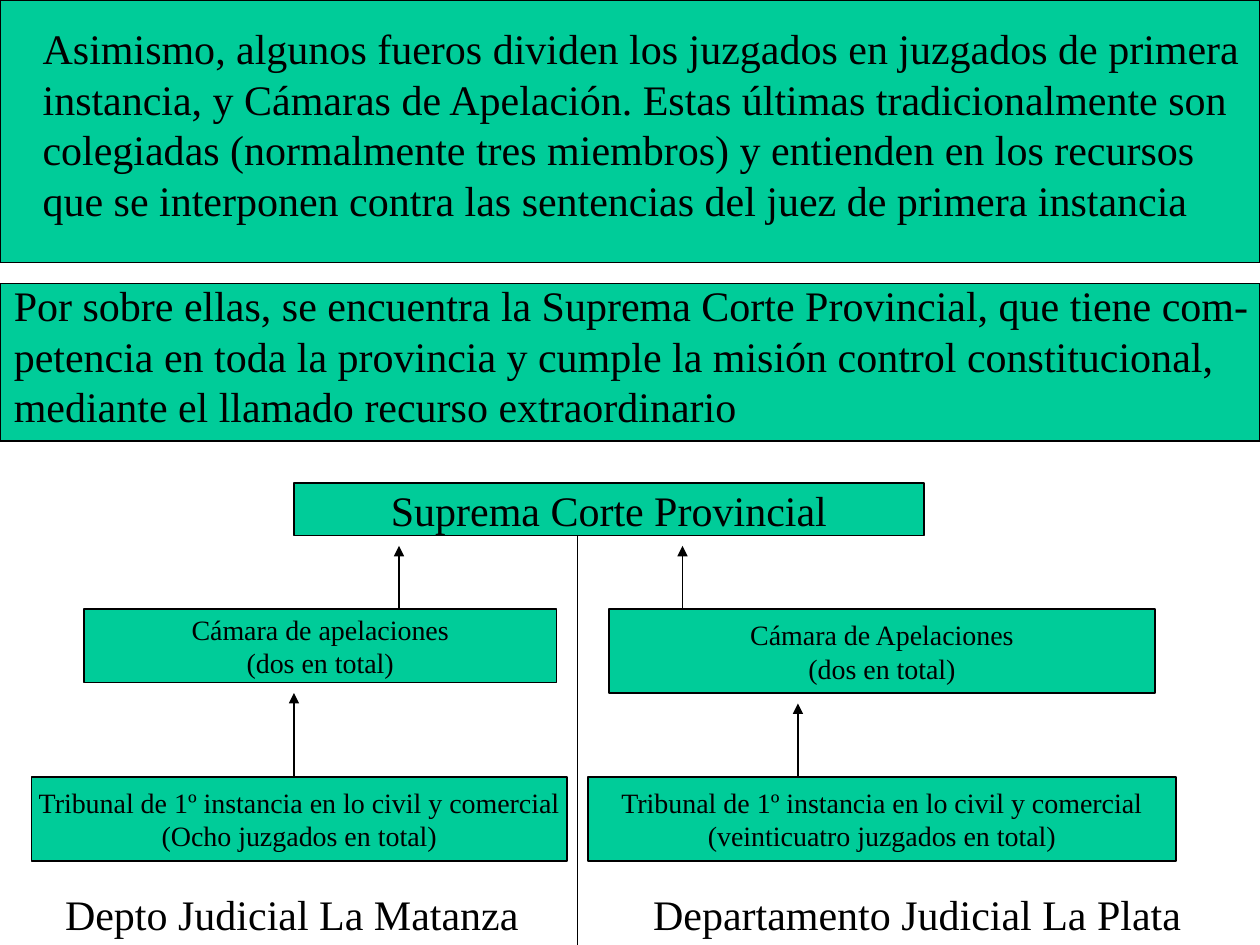
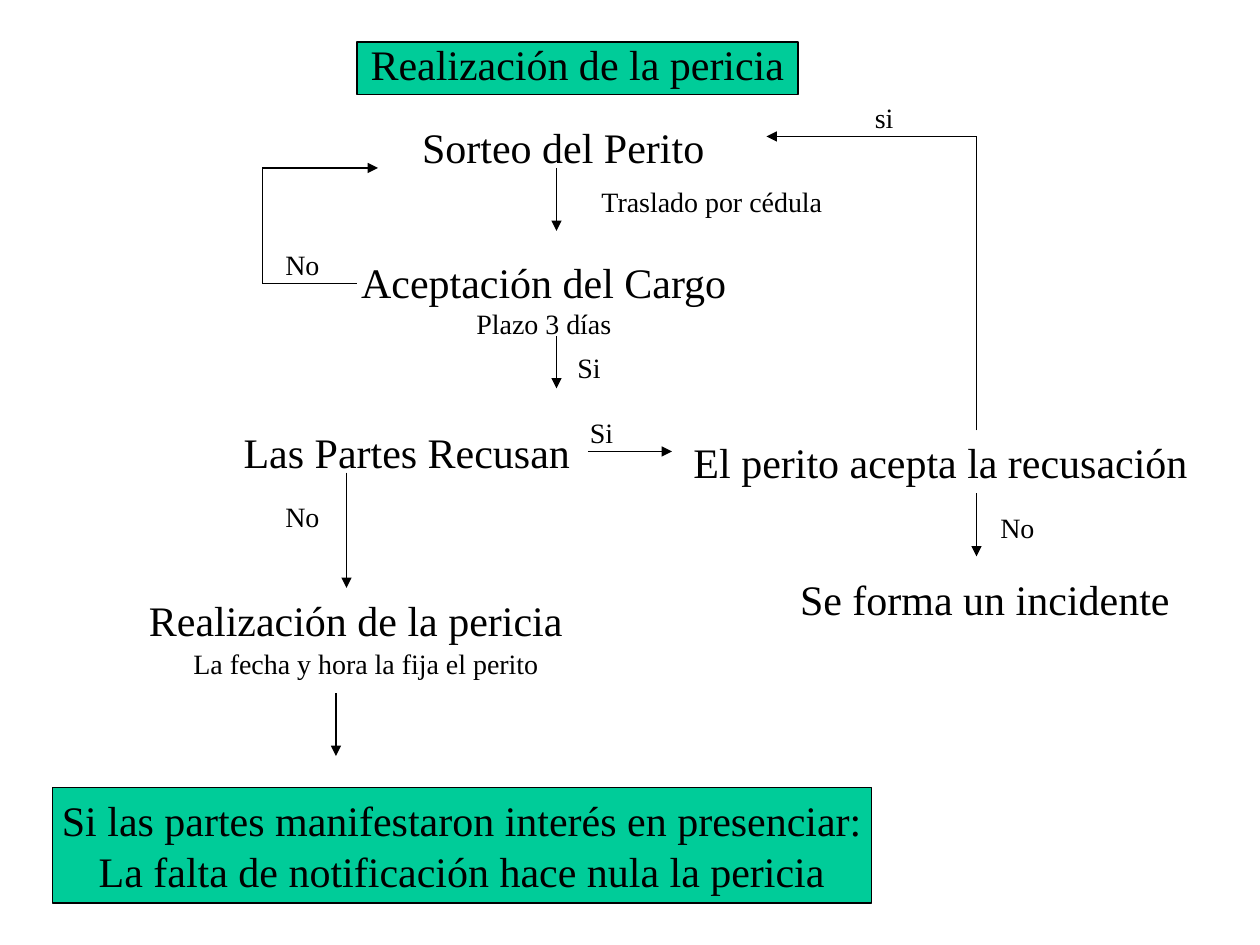
import pptx
import pptx.util
import pptx.dml.color
import pptx.enum.shapes
import pptx.enum.text
import pptx.oxml.ns
import lxml.etree

FONT = "Times New Roman"
GREEN, BLACK = "00CC99", "000000"
LARGE, SMALL = 24, 16
TITLE_ONLY, BLANK = 5, 6
LEFT = pptx.enum.text.PP_ALIGN.LEFT
CENTER = pptx.enum.text.PP_ALIGN.CENTER

# Places are counted in grid steps: the slide is 120 steps wide and 90 high.
# Full-width statements: (left, top, width, height), left and bottom inset in cm, lines
STATEMENTS = [
    ((0, 0, 120, 25), 0.86, 0.3, [
        "Asimismo, algunos fueros dividen los juzgados en juzgados de primera",
        "instancia, y Cámaras de Apelación. Estas últimas tradicionalmente son",
        "colegiadas (normalmente tres miembros) y entienden en los recursos",
        "que se interponen contra las sentencias del juez de primera instancia"]),
    ((0, 27, 120, 15), 0.28, 0.28, [
        "Por sobre ellas, se encuentra la Suprema Corte Provincial, que tiene com-",
        "petencia en toda la provincia y cumple la misión control constitucional,",
        "mediante el llamado recurso extraordinario"]),
]

# Court boxes: (left, top, width, height), font size, lines
COURTS = [
    ((28, 46, 60, 5), LARGE, ["Suprema Corte Provincial"]),
    ((8, 58, 45, 7), SMALL, ["Cámara de apelaciones", "(dos en total)"]),
    ((58, 58, 52, 8), SMALL, ["Cámara de Apelaciones", "(dos en total)"]),
    ((3, 74, 51, 8), SMALL, ["Tribunal de 1º instancia en lo civil y comercial",
                             "(Ocho juzgados en total)"]),
    ((56, 74, 56, 8), SMALL, ["Tribunal de 1º instancia en lo civil y comercial",
                              "(veinticuatro juzgados en total)"]),
]
DIVIDER = [(55, 51), (55, 90)]
APPEALS = [
    [(38, 58), (38, 52)],
    [(65, 58), (65, 52)],
    [(28, 74), (28, 66)],
    [(76, 74), (76, 67)],
]

# Labels: left, top, width, then (text, font size) for each line
DEPARTMENTS = [
    (5, 84, 45.6, [("Depto Judicial La Matanza", LARGE)]),
    (61, 84, 52.7, [("Departamento Judicial La Plata", LARGE)]),
]
EXPERT_TITLE = "Realización de la pericia"
EXPERT_STEPS = [
    (39, 11, 29.3, [("Sorteo del Perito", LARGE)]),
    (56, 17, 23.6, [("Traslado por cédula", SMALL)]),
    (33.2, 23.8, 37.2, [("Aceptación del Cargo", LARGE), ("Plazo 3 días", SMALL)]),
    (22, 40, 33.5, [("Las Partes Recusan", LARGE)]),
    (64.9, 41, 49.4, [("El perito acepta la recusación", LARGE)]),
    (75, 54, 37.6, [("Se forma un incidente", LARGE)]),
    (13, 56, 41.8, [("Realización de la pericia", LARGE)]),
    (17.2, 61, 35.3, [("La fecha y hora la fija el perito", SMALL)]),
]
ANSWERS = [
    (26, 23, 5.6, [("No", SMALL)]),
    (53.8, 32.8, 4.6, [("Si", SMALL)]),
    (55, 39, 4.6, [("Si", SMALL)]),
    (82.1, 9, 4.2, [("si", SMALL)]),
    (94.1, 48, 5.6, [("No", SMALL)]),
    (26, 47, 5.6, [("No", SMALL)]),
]
EXPERT_ROUTES = [
    [(53, 16), (53, 22)],
    [(34, 27), (25, 27), (25, 16), (36, 16)],
    [(53, 32), (53, 37)],
    [(56, 43), (64, 43)],
    [(93, 41), (93, 13), (73, 13)],
    [(93, 47), (93, 53)],
    [(33, 45), (33, 56)],
    [(32, 66), (32, 72)],
]
WARNING = [
    "Si las partes manifestaron interés en presenciar:",
    "La falta de notificación hace nula la pericia",
]


def steps(*counts):
    """Turn grid steps into lengths."""
    return [pptx.util.Cm(25.4 * count / 120) for count in counts]


def color(value):
    return pptx.dml.color.RGBColor.from_string(value)


def write_lines(frame, lines, align=CENTER, wrap=False):
    """Fill a text frame with one paragraph for each (text, size) pair."""
    frame.word_wrap = wrap
    frame.auto_size = pptx.enum.text.MSO_AUTO_SIZE.NONE
    for index, (text, size) in enumerate(lines):
        para = frame.add_paragraph() if index else frame.paragraphs[0]
        para.alignment = align
        span = para.add_run()
        span.text = text
        span.font.name = FONT
        span.font.size = pptx.util.Pt(size)
        span.font.color.rgb = color(BLACK)


def paint_green(box):
    box.fill.solid()
    box.fill.fore_color.rgb = color(GREEN)
    box.line.color.rgb = color(BLACK)
    box.line.width = pptx.util.Pt(0.75)
    box.text_frame.vertical_anchor = pptx.enum.text.MSO_ANCHOR.MIDDLE


def add_green_box(page, place, lines, size, align=CENTER, wrap=False):
    box = page.shapes.add_shape(pptx.enum.shapes.MSO_SHAPE.RECTANGLE, *steps(*place))
    box.shadow.inherit = False
    paint_green(box)
    write_lines(box.text_frame, [(line, size) for line in lines], align, wrap)
    return box


def add_label(page, left, top, width, lines):
    height = 1.2 + sum(0.2 * size for _, size in lines)
    box = page.shapes.add_textbox(*steps(left, top, width, height))
    write_lines(box.text_frame, lines)


def add_route(page, points, arrow=True):
    """Join the points with straight lines, with an arrowhead at the last one."""
    for start, end in zip(points, points[1:]):
        line = page.shapes.add_connector(
            pptx.enum.shapes.MSO_CONNECTOR.STRAIGHT, *steps(*start, *end))
        line.line.color.rgb = color(BLACK)
        line.line.width = pptx.util.Pt(0.75)
        if arrow and end == points[-1]:
            lxml.etree.SubElement(line.line._get_or_add_ln(),
                                  pptx.oxml.ns.qn("a:tailEnd"), type="triangle")
        lxml.etree.SubElement(line._element.spPr, pptx.oxml.ns.qn("a:effectLst"))


def build_courts(deck):
    page = deck.slides.add_slide(deck.slide_layouts[BLANK])
    for place, left_inset, bottom_inset, lines in STATEMENTS:
        box = add_green_box(page, place, lines, LARGE, LEFT, wrap=True)
        box.text_frame.margin_left = pptx.util.Cm(left_inset)
        box.text_frame.margin_bottom = pptx.util.Cm(bottom_inset)
        box.text_frame.margin_top = box.text_frame.margin_right = 0
    for place, size, lines in COURTS:
        add_green_box(page, place, lines, size)
    add_route(page, DIVIDER, arrow=False)
    for route in APPEALS:
        add_route(page, route)
    for label in DEPARTMENTS:
        add_label(page, *label)


def build_expert_report(deck):
    page = deck.slides.add_slide(deck.slide_layouts[TITLE_ONLY])
    title = page.shapes.title
    title.left, title.top, title.width, title.height = steps(34, 4, 42, 5)
    paint_green(title)
    write_lines(title.text_frame, [(EXPERT_TITLE, LARGE)])
    title.text_frame.margin_top = 0
    title.text_frame.margin_bottom = pptx.util.Cm(0.2)
    for label in EXPERT_STEPS + ANSWERS:
        add_label(page, *label)
    for route in EXPERT_ROUTES:
        add_route(page, route)
    add_green_box(page, (5, 75, 78, 11), WARNING, LARGE)


def main():
    deck = pptx.Presentation()
    deck.slide_width, deck.slide_height = steps(120, 90)
    build_courts(deck)
    build_expert_report(deck)
    deck.save("out.pptx")


if __name__ == "__main__":
    main()
